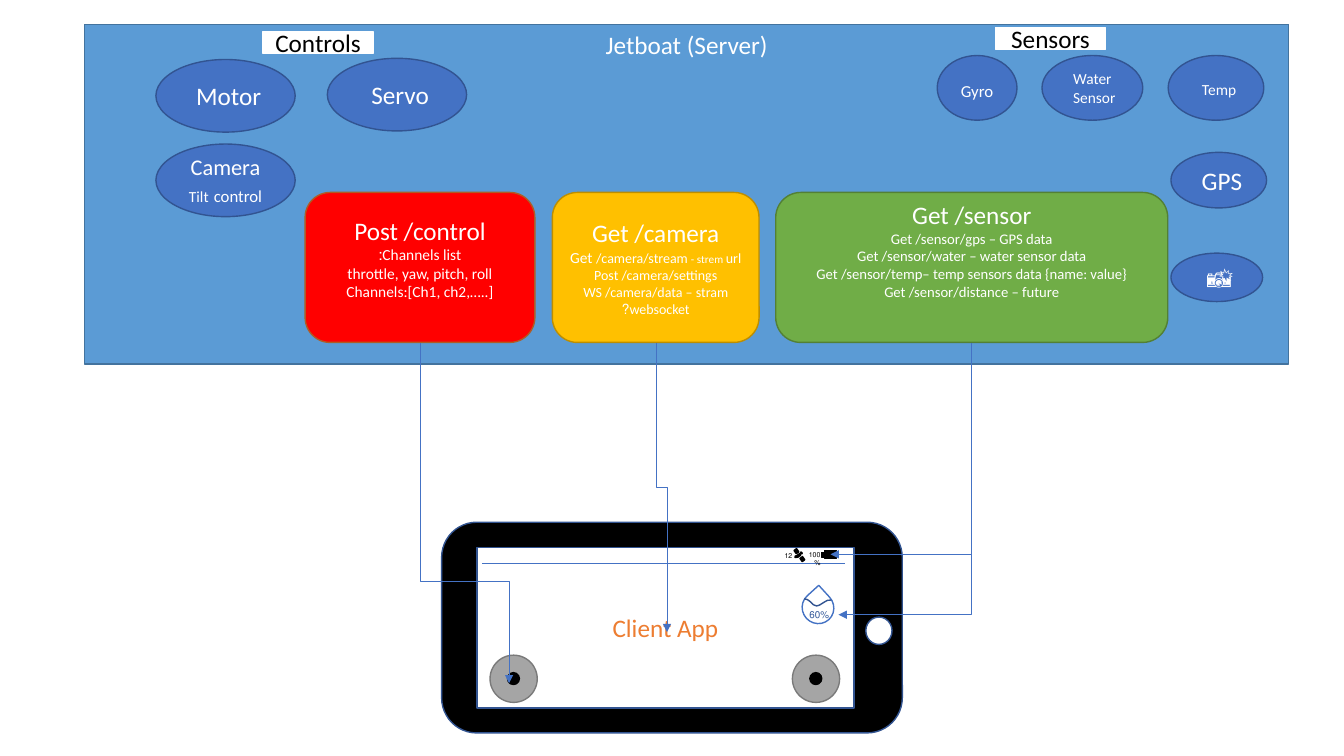
from lxml.etree import SubElement
from pptx import Presentation
from pptx.dml.color import RGBColor
from pptx.enum.shapes import MSO_CONNECTOR, MSO_SHAPE
from pptx.enum.text import MSO_ANCHOR, MSO_AUTO_SIZE, PP_ALIGN
from pptx.oxml.ns import qn
from pptx.util import Cm, Pt

WHITE = RGBColor(0xFF, 0xFF, 0xFF)
BLACK = RGBColor(0, 0, 0)
SKY = RGBColor(0x5B, 0x9B, 0xD5)
STEEL = RGBColor(0x43, 0x73, 0x9E)
BLUE = RGBColor(0x44, 0x72, 0xC4)
NAVY = RGBColor(0x32, 0x54, 0x91)
INK = RGBColor(0x2F, 0x55, 0x97)
ORANGE = RGBColor(0xED, 0x7D, 0x31)
RED = RGBColor(0xFF, 0, 0)
RUST = RGBColor(0xAF, 0x5C, 0x24)
GREEN = RGBColor(0x70, 0xAD, 0x47)
MOSS = RGBColor(0x53, 0x80, 0x35)
GOLD = RGBColor(0xFF, 0xC0, 0)
OCHRE = RGBColor(0xBD, 0x8E, 0)
GREY = RGBColor(0xA5, 0xA5, 0xA5)
SLATE = RGBColor(0x7A, 0x7A, 0x7A)

RECT, ROUND, OVAL = MSO_SHAPE.RECTANGLE, MSO_SHAPE.ROUNDED_RECTANGLE, MSO_SHAPE.OVAL

# Boxes are (left, top, width, height) in centimetres
PANEL = (2.13, 0.61, 30.35, 8.56)
PHONE = (11.13, 13.16, 11.61, 5.31)

SENSORS = [  # box in the panel, lines of (text, size) runs, anchor
    ((6.12, 0.86, 3.51, 1.83), [[("Servo ", 18)]], MSO_ANCHOR.MIDDLE),
    ((1.8, 0.89, 3.51, 1.83), [[("Motor ", 18)]], MSO_ANCHOR.MIDDLE),
    ((1.8, 3.02, 3.51, 1.83), [[("Camera", 16)],
     [("Tilt", 11), (" ", 16), ("control", 12), (" ", 16)]], MSO_ANCHOR.MIDDLE),
    ((21.49, 0.79, 2.01, 1.63), [[("Gyro", 12), (" ", 18)]], MSO_ANCHOR.MIDDLE),
    ((24.13, 0.79, 2.54, 1.63), [[("Water", 11)], [("Sensor ", 11)]], MSO_ANCHOR.MIDDLE),
    ((27.31, 0.79, 2.41, 1.63), [[("Temp", 11), (" ", 18)]], MSO_ANCHOR.TOP),
    ((27.38, 3.23, 2.41, 1.4), [[("GPS ", 18)]], MSO_ANCHOR.MIDDLE),
    ((27.38, 5.77, 2.31, 1.22), [[("📸 ", 18)]], MSO_ANCHOR.MIDDLE),
]
LABELS = [("Controls", (4.5, 0.18, 2.77, 0.56)), ("Sensors", (22.96, 0.08, 2.77, 0.56))]
ROUTES = [  # left, width, fill, line, bottom inset, lines
    (5.56, 5.79, RED, RUST, 0.6, [
        [("Post /control", 18)], [("Channels list:", 11)],
        [("throttle, yaw, pitch, roll", 11)], [("Channels:[Ch1, ch2,…..]", 11)]]),
    (17.42, 9.88, GREEN, MOSS, 1.02, [
        [("Get /sensor", 18)], [("Get /sensor/gps – GPS data", 10.5)],
        [("Get /sensor/water – water sensor data", 10.5)],
        [("Get /sensor/temp– temp sensors data {name: value}", 10.5)],
        [("Get /sensor/distance – future", 10.5)]]),
    (11.79, 5.21, GOLD, OCHRE, 0.13, [
        [("Get /camera", 18)],
        [("Get ", 11), ("/camera/stream ", 10), ("- strem ", 8), ("url", 10)],
        [("Post /camera/settings", 10)], [("WS /camera/data – stram websocket?", 10)]]),
]
WIRES = [  # start, end, preset, bend
    ((10.59, 8.64), (12.83, 17.22), "bentConnector3", 70000),
    ((16.54, 8.64), (16.81, 15.93), "bentConnector3", 50000),
    ((24.49, 8.64), (20.93, 13.97), "bentConnector2", None),
    ((24.49, 8.64), (21.13, 15.49), "bentConnector2", None),
]


def inside(box, part):
    return (box[0] + part[0], box[1] + part[1], *part[2:])


def write(shape, lines, color, align=PP_ALIGN.CENTER):
    """Fill a shape with right-to-left paragraphs."""
    frame = shape.text_frame
    frame.word_wrap = True
    for i, line in enumerate(lines):
        para = frame.paragraphs[0] if i == 0 else frame.add_paragraph()
        para.alignment = align
        para._p.get_or_add_pPr().set("rtl", "1")
        for text, size in line:
            run = para.add_run()
            run.text = text
            for key, value in {"name": "Calibri", "size": Pt(size)}.items():
                setattr(run.font, key, value)
            run.font.color.rgb = color


def paint(shape, fill, line):
    shape.fill.solid()
    shape.fill.fore_color.rgb = fill
    shape.line.color.rgb = line
    shape.line.width = Pt(1)
    shape.shadow.inherit = False


def draw(slide, kind, box, fill, line, turn=0):
    shape = slide.shapes.add_shape(kind, *map(Cm, box))
    paint(shape, fill, line)
    shape.rotation = turn
    return shape


def note(slide, box, text, size, color):
    write(slide.shapes.add_textbox(*map(Cm, box)), [[(text, size)]], color, PP_ALIGN.RIGHT)


def thin(slide, kind, start, end):
    wire = slide.shapes.add_connector(kind, *map(Cm, (*start, *end)))
    wire.line.color.rgb = BLUE
    wire.line.width = Pt(0.5)
    SubElement(wire.element.spPr, qn("a:effectLst"))
    return wire


def server(slide, box):
    title = slide.shapes.title
    for key, value in zip(("left", "top", "width", "height"), box):
        setattr(title, key, Cm(value))
    paint(title, SKY, STEEL)
    write(title, [[("Jetboat (Server)", 18)]], WHITE)
    for key, value in {"vertical_anchor": MSO_ANCHOR.TOP,
                       "auto_size": MSO_AUTO_SIZE.NONE}.items():
        setattr(title.text_frame, key, value)
    for part, lines, anchor in SENSORS:
        oval = draw(slide, OVAL, inside(box, part), BLUE, NAVY)
        write(oval, lines, WHITE)
        oval.text_frame.vertical_anchor = anchor
    for text, part in LABELS:
        write(draw(slide, RECT, inside(box, part), WHITE, WHITE), [[(text, 18)]], BLACK)
    for left, width, fill, line, inset, lines in ROUTES:
        route = draw(slide, ROUND, inside(box, (left, 4.24, width, 3.78)), fill, line)
        write(route, lines, WHITE)
        route.text_frame.margin_bottom = Cm(inset)


def stick(slide, box):
    draw(slide, OVAL, box, GREY, SLATE)
    draw(slide, OVAL, inside(box, (0.44, 0.44, 0.3, 0.3)), BLACK, BLACK)


def status(slide, box):
    """Place the divider, battery and satellite along the top of the screen."""
    y = box[1] + 1.04
    thin(slide, MSO_CONNECTOR.STRAIGHT, (box[0] + 1.02, y), (box[0] + 10.16, y))
    for kind, part, turn in [
        (RECT, (9.65, 0.71, 0.3, 0.2), 0),
        (RECT, (9.58, 0.76, 0.13, 0.13), 0),
        (RECT, (8.89, 0.69, 0.1, 0.08), 54.7),
        (RECT, (9.04, 0.89, 0.1, 0.08), 54.7),
        (RECT, (8.97, 0.79, 0.05, 0.1), 54.7),
        (OVAL, (9.04, 0.76, 0.05, 0.03), 54.7),
        (MSO_SHAPE.ISOSCELES_TRIANGLE, (8.89, 0.86, 0.05, 0.03), 234.7),
    ]:
        draw(slide, kind, inside(box, part), BLACK, BLACK, turn)
    note(slide, inside(box, (8.89, 0.58, 0.91, 0.48)), "100%", 5, BLACK)
    note(slide, inside(box, (8.33, 0.61, 0.76, 0.48)), "12", 5, BLACK)


def gauge(slide, box):
    draw(slide, MSO_SHAPE.TEAR, box, WHITE, BLUE, 317.6)
    wave = [(0.05, 0.18), (0.13, 0.2), (0.2, 0.25), (0.28, 0.33), (0.36, 0.36),
            (0.43, 0.34), (0.51, 0.29), (0.56, 0.26), (0.63, 0.22), (0.73, 0.21)]
    dots = [(Cm(box[0] + x), Cm(box[1] + y)) for x, y in wave]
    path = slide.shapes.build_freeform(*dots[0])
    path.add_line_segments(dots[1:], close=False)
    water = path.convert_to_shape()
    paint(water, WHITE, NAVY)
    water.fill.background()
    note(slide, inside(box, (-0.43, 0.31, 1.35, 0.48)), "60%", 7, INK)


def phone(slide, box):
    draw(slide, ROUND, box, BLACK, NAVY)
    screen = draw(slide, RECT, inside(box, (0.89, 0.64, 9.5, 4.04)), WHITE, NAVY)
    write(screen, [[("Client App", 18)]], ORANGE)
    draw(slide, OVAL, inside(box, (10.69, 2.39, 0.66, 0.69)), WHITE, NAVY)
    for left in (1.22, 8.84):
        stick(slide, inside(box, (left, 3.35, 1.19, 1.19)))
    status(slide, box)
    gauge(slide, inside(box, (9.09, 1.75, 0.79, 0.81)))


def link(slide, start, end, preset, bend):
    """Lead an arrow down first, by turning the elbow a quarter."""
    wire = thin(slide, MSO_CONNECTOR.ELBOW, start, end)
    (x1, y1), (x2, y2) = start, end
    long, wide = y2 - y1, abs(x2 - x1)
    box = ((x1 + x2 - long) / 2, (y1 + y2 - wide) / 2, long, wide)
    for key, value in zip(("left", "top", "width", "height"), box):
        setattr(wire, key, Cm(value))
    props = wire.element.spPr
    frame = props.find(qn("a:xfrm"))
    right = x2 > x1
    for key, value in {"rot": "16200000" if right else "5400000",
                       "flipH": "1" if right else "0"}.items():
        frame.set(key, value)
    shape = props.find(qn("a:prstGeom"))
    shape.set("prst", preset)
    if bend:
        SubElement(shape.find(qn("a:avLst")), qn("a:gd"), name="adj1", fmla=f"val {bend}")
    SubElement(props.find(qn("a:ln")), qn("a:tailEnd"), type="triangle")


def main():
    deck = Presentation()
    deck.slide_width, deck.slide_height = Cm(33.87), Cm(19.05)
    slide = deck.slides.add_slide(deck.slide_layouts[5])
    server(slide, PANEL)
    phone(slide, PHONE)
    for wire in WIRES:
        link(slide, *wire)
    deck.save("out.pptx")


if __name__ == "__main__":
    main()
